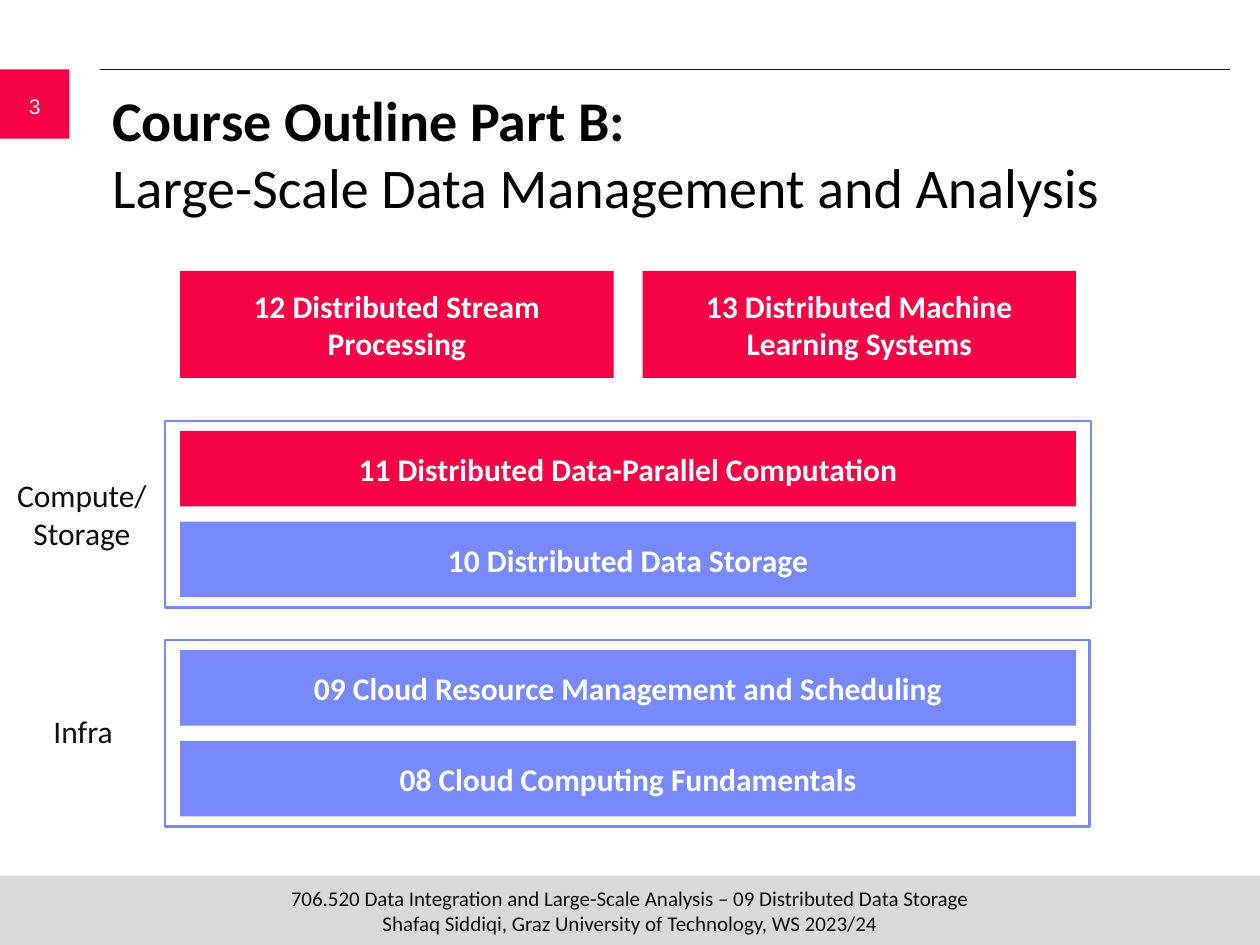
from dataclasses import dataclass
from typing import NamedTuple

from lxml.etree import SubElement
from pptx import Presentation
from pptx.dml.color import RGBColor
from pptx.enum.shapes import MSO_CONNECTOR, MSO_SHAPE
from pptx.enum.text import MSO_ANCHOR, MSO_AUTO_SIZE, PP_ALIGN
from pptx.oxml.ns import qn
from pptx.util import Inches, Pt


@dataclass(frozen=True)
class Theme:
    red: str = "F70146"
    blue: str = "7889FB"
    gray: str = "D9D9D9"
    ink: str = "0F0F0F"
    black: str = "000000"
    white: str = "FFFFFF"
    body_font: str = "Calibri"
    number_font: str = "Arial"
    title_size: int = 32
    body_size: int = 18
    small_size: int = 12
    frame_line: float = 1.5
    rule_line: float = 0.5


class Area(NamedTuple):
    column: float
    row: float
    columns: float
    rows: float


class Style(NamedTuple):
    size: int
    color: str
    bold: bool = False
    font: str = "Calibri"


class Bar(NamedTuple):
    lines: tuple[str, ...]
    fill: str


class Layer(NamedTuple):
    label: tuple[str, ...]
    label_area: Area
    frame: Area
    bars: tuple[Bar, ...]


THEME = Theme()
COLUMNS, ROWS = 100, 75
BAR_LEFT, BAR_WIDTH, BAR_HEIGHT = 14.3, 71.1, 6
BAR_INSET, BAR_STEP = 0.8, 7.2
TOPIC_WIDTH = 34.4

BAR_STYLE = Style(THEME.body_size, THEME.white, True, THEME.body_font)
LABEL_STYLE = Style(THEME.body_size, THEME.ink, False, THEME.body_font)
FOOTER_STYLE = Style(THEME.small_size, THEME.ink, False, THEME.body_font)
NUMBER_STYLE = Style(THEME.small_size, THEME.white, False, THEME.number_font)
TITLE_STYLE = Style(THEME.title_size, THEME.black, False, THEME.body_font)

TOPICS = (
    Bar(("12 Distributed Stream", "Processing"), THEME.red),
    Bar(("13 Distributed Machine Learning Systems",), THEME.red),
)
LAYERS = (
    Layer(("Compute/", "Storage"), Area(0.2, 37.3, 12.6, 7.1), Area(13.1, 33.4, 73.5, 14.8), (
        Bar(("11 Distributed Data-Parallel Computation",), THEME.red),
        Bar(("10 Distributed Data Storage",), THEME.blue),
    )),
    Layer(("Infra",), Area(0.3, 56, 12.6, 4), Area(13.1, 50.8, 73.4, 14.8), (
        Bar(("09 Cloud Resource Management and Scheduling",), THEME.blue),
        Bar(("08 Cloud Computing Fundamentals",), THEME.blue),
    )),
)

deck = Presentation()
deck.slide_width, deck.slide_height = Inches(10), Inches(7.5)
page = deck.slides.add_slide(deck.slide_layouts[5])


def place(area: Area) -> tuple[int, int, int, int]:
    column, row = deck.slide_width / COLUMNS, deck.slide_height / ROWS
    return (round(area.column * column), round(area.row * row),
            round(area.columns * column), round(area.rows * row))


def write(box, lines: tuple[str, ...], styles: tuple[Style, ...],
          align=PP_ALIGN.CENTER, anchor=MSO_ANCHOR.MIDDLE) -> None:
    frame = box.text_frame
    frame.word_wrap = True
    frame.vertical_anchor = anchor
    para = frame.paragraphs[0]
    para.alignment = align
    for index, line in enumerate(lines):
        if index:
            para.add_line_break()
        style = styles[index % len(styles)]
        span = para.add_run()
        span.text = line
        span.font.name = style.font
        span.font.size = Pt(style.size)
        span.font.bold = style.bold
        span.font.color.rgb = RGBColor.from_string(style.color)


def draw_block(area: Area, fill: str):
    box = page.shapes.add_shape(MSO_SHAPE.RECTANGLE, *place(area))
    box.shadow.inherit = False
    box.fill.solid()
    box.fill.fore_color.rgb = RGBColor.from_string(fill)
    box.line.fill.background()
    return box


def draw_frame(area: Area) -> None:
    box = page.shapes.add_shape(MSO_SHAPE.RECTANGLE, *place(area))
    box.shadow.inherit = False
    box.fill.background()
    box.line.color.rgb = RGBColor.from_string(THEME.blue)
    box.line.width = Pt(THEME.frame_line)


def draw_text(area: Area, lines: tuple[str, ...], style: Style,
              side: float, edge: float, anchor=MSO_ANCHOR.MIDDLE) -> None:
    box = page.shapes.add_textbox(*place(area))
    frame = box.text_frame
    frame.margin_left = frame.margin_right = Inches(side)
    frame.margin_top = frame.margin_bottom = Inches(edge)
    write(box, lines, (style,), anchor=anchor)


def draw_rule() -> None:
    left, top, width, _ = place(Area(7.9, 5.5, 89.7, 0))
    rule = page.shapes.add_connector(MSO_CONNECTOR.STRAIGHT, left, top, left + width, top)
    rule.line.color.rgb = RGBColor.from_string(THEME.ink)
    rule.line.width = Pt(THEME.rule_line)
    SubElement(rule.element.spPr, qn("a:effectLst"))


def draw_title() -> None:
    title = page.shapes.title
    title.left, title.top, title.width, title.height = place(Area(7.9, 6.3, 89.6, 8.3))
    title.text_frame.auto_size = MSO_AUTO_SIZE.NONE
    write(title, ("Course Outline Part B:", "Large-Scale Data Management and Analysis"),
          (TITLE_STYLE._replace(bold=True), TITLE_STYLE), PP_ALIGN.LEFT, MSO_ANCHOR.TOP)


def draw_layer(layer: Layer) -> None:
    for index, bar in enumerate(layer.bars):
        row = layer.frame.row + BAR_INSET + index * BAR_STEP
        box = draw_block(Area(BAR_LEFT, row, BAR_WIDTH, BAR_HEIGHT), bar.fill)
        write(box, bar.lines, (BAR_STYLE,))
    draw_frame(layer.frame)
    draw_text(layer.label_area, layer.label, LABEL_STYLE, 0, 0.05, MSO_ANCHOR.TOP)


def main() -> None:
    footer = Area(0, 69.5, COLUMNS, 5.5)
    draw_block(footer, THEME.gray)
    draw_rule()
    draw_block(Area(0, 5.5, 5.5, 5.5), THEME.red)
    draw_text(Area(0, 6.4, 5.5, 4), ("3",), NUMBER_STYLE, 0.1, 0.05)
    draw_text(footer, (
        "706.520 Data Integration and Large-Scale Analysis – 09 Distributed Data Storage",
        "Shafaq Siddiqi, Graz University of Technology, WS 2023/24",
    ), FOOTER_STYLE, 0, 0)
    draw_title()
    for index, topic in enumerate(TOPICS):
        column = BAR_LEFT + index * (BAR_WIDTH - TOPIC_WIDTH)
        box = draw_block(Area(column, 21.5, TOPIC_WIDTH, 8.5), topic.fill)
        write(box, topic.lines, (BAR_STYLE,))
    for layer in LAYERS:
        draw_layer(layer)
    deck.save("out.pptx")


if __name__ == "__main__":
    main()
